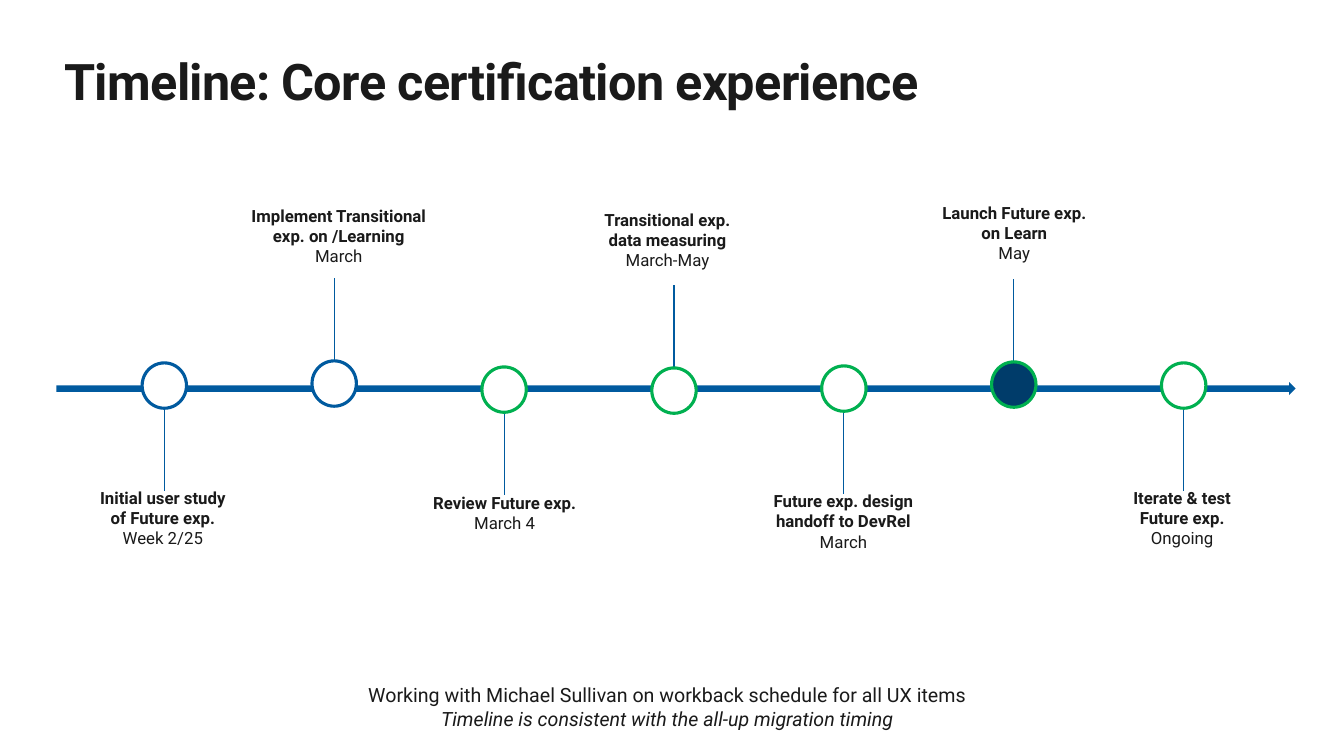
from pptx import Presentation
from pptx.dml.color import RGBColor
from pptx.enum.shapes import MSO_CONNECTOR, MSO_SHAPE
from pptx.enum.text import PP_ALIGN
from pptx.util import Inches, Pt
from lxml import etree

STRAIGHT = MSO_CONNECTOR.STRAIGHT
ARROW, CIRCLE = MSO_SHAPE.RIGHT_ARROW, MSO_SHAPE.OVAL
LEFT, CENTER = PP_ALIGN.LEFT, PP_ALIGN.CENTER
DRAWING = "http://schemas.openxmlformats.org/drawingml/2006/main"
INK, BLUE, NAVY, GREEN, WHITE = "1A1A1A", "005A9F", "003C6A", "00B050", "FFFFFF"


def color(code):
    return RGBColor.from_string(code)


def add_text(lines, left, top, width, height, size=12, align=CENTER, spacing=0):
    """Add a text box; each line is (text, bold, italic)."""
    box = page.shapes.add_textbox(Inches(left), Inches(top), Inches(width), Inches(height))
    frame = box.text_frame
    frame.word_wrap = True
    frame.margin_left = frame.margin_right = frame.margin_top = frame.margin_bottom = 0
    for index, (text, bold, italic) in enumerate(lines):
        para = frame.add_paragraph() if index else frame.paragraphs[0]
        para.alignment = align
        span = para.add_run()
        span.text = text
        span.font.name = "Roboto"
        span.font.size = Pt(size)
        span.font.bold = bold
        span.font.italic = italic
        span.font.color.rgb = color(INK)
        if spacing:
            span._r.get_or_add_rPr().set("spc", str(spacing))


deck = Presentation()
deck.slide_width, deck.slide_height = Inches(13.33), Inches(7.5)
page = deck.slides.add_slide(deck.slide_layouts[6])

# Title
add_text([("Timeline: Core certification experience", True, False)],
         0.64, 0.5, 11.6, 0.61, size=36, align=LEFT, spacing=-50)

# Time axis
axis = page.shapes.add_shape(ARROW, Inches(0.56), Inches(3.79), Inches(12.29), Inches(0.13))
axis.shadow.inherit = False
axis.fill.solid()
axis.fill.fore_color.rgb = color(BLUE)
axis.line.fill.background()

# Milestones: circle top, fill, outline, label (left, top, width), headings, date
milestones = [
    (3.6, WHITE, BLUE, (0.69, 4.84, 1.85), ["Initial user study", "of Future exp."], "Week 2/25"),
    (3.58, WHITE, BLUE, (2.3, 2.04, 2.12), ["Implement Transitional", "exp. on /Learning"], "March"),
    (3.64, WHITE, GREEN, (4.13, 4.89, 1.75), ["Review Future exp."], "March 4"),
    (3.65, WHITE, GREEN, (5.56, 2.08, 2.12), ["Transitional exp.", "data measuring"], "March-May"),
    (3.63, WHITE, GREEN, (7.44, 4.87, 1.85), ["Future exp. design handoff to DevRel"], "March"),
    (3.59, NAVY, GREEN, (9, 2.01, 2.12), ["Launch Future exp.", "on Learn"], "May"),
    (3.6, WHITE, GREEN, (10.8, 4.84, 1.85), ["Iterate & test", "Future exp."], "Ongoing"),
]
FIRST_CENTER, STEP = 1.63, 1.685
CIRCLE_WIDTH, CIRCLE_HEIGHT, STEM = 0.44, 0.45, 0.82

for index, (top, fill, outline, label, headings, date) in enumerate(milestones):
    center = FIRST_CENTER + index * STEP

    # Stem, pointing up to a label above the axis or down to one below
    if label[1] < top:
        start, end = top - STEM, top
    else:
        start, end = top + CIRCLE_HEIGHT, top + CIRCLE_HEIGHT + STEM
    stem = page.shapes.add_connector(STRAIGHT, Inches(center), Inches(start),
                                     Inches(center), Inches(end))
    stem.line.color.rgb = color(BLUE)
    stem.line.width = Pt(0.75)
    etree.SubElement(stem._element.spPr, f"{{{DRAWING}}}effectLst")

    # Circle on the axis
    circle = page.shapes.add_shape(CIRCLE, Inches(center - CIRCLE_WIDTH / 2), Inches(top),
                                   Inches(CIRCLE_WIDTH), Inches(CIRCLE_HEIGHT))
    circle.shadow.inherit = False
    circle.fill.solid()
    circle.fill.fore_color.rgb = color(fill)
    circle.line.color.rgb = color(outline)
    circle.line.width = Pt(2.25)

    # Label
    lines = [(heading, True, False) for heading in headings] + [(date, False, False)]
    add_text(lines, *label, 0.61)

# Closing note
add_text([("Working with Michael Sullivan on workback schedule for all UX items", False, False),
          ("Timeline is consistent with the all-up migration timing", False, True)],
         3.59, 6.78, 6.06, 0.47, size=14)

deck.save("out.pptx")
